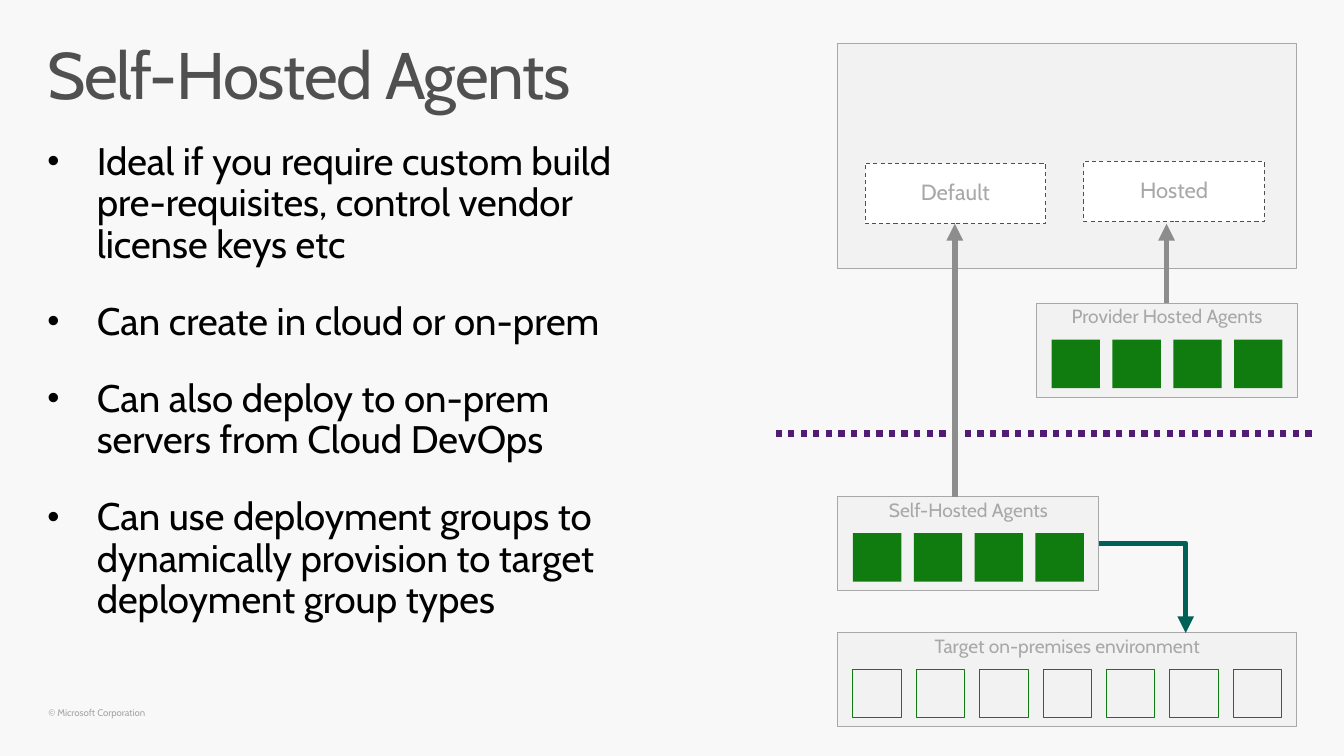
import dataclasses

import lxml.etree
import pptx
import pptx.dml.color
import pptx.enum.dml
import pptx.enum.shapes
import pptx.enum.text
import pptx.oxml.ns
import pptx.util

Shape = pptx.enum.shapes.MSO_SHAPE
Link = pptx.enum.shapes.MSO_CONNECTOR
Dash = pptx.enum.dml.MSO_LINE
Align = pptx.enum.text.PP_ALIGN
Anchor = pptx.enum.text.MSO_ANCHOR


@dataclasses.dataclass(frozen=True)
class Theme:
    font: str = "Cabin"
    back: str = "F8F8F8"
    panel: str = "F2F2F2"
    edge: str = "A8A8A8"
    white: str = "FFFFFF"
    black: str = "000000"
    dark: str = "505050"
    foot: str = "A6A6A6"
    green: str = "107C10"
    purple: str = "511C74"
    gray: str = "8D8D8D"
    teal: str = "006256"
    head_size: float = 47
    body_size: float = 27.4
    pool_size: float = 15.7
    label_size: float = 13.7
    foot_size: float = 6.9


class Board:
    """Draw styled elements on one slide, measured in px of a hundredth inch."""

    def __init__(self, theme, slide):
        self.theme = theme
        self.slide = slide
        slide.background.fill.solid()
        slide.background.fill.fore_color.rgb = self.tint(theme.back)

    @staticmethod
    def px(*nums):
        return [pptx.util.Emu(round(num * 9144)) for num in nums]

    @staticmethod
    def tint(code):
        return pptx.dml.color.RGBColor.from_string(code)

    @staticmethod
    def node(parent, tag, **attrs):
        return lxml.etree.SubElement(parent, pptx.oxml.ns.qn(tag), attrs)

    def letter(self, shape, lines, size, color, top=0, align=Align.LEFT,
               anchor=Anchor.TOP, wrap=True, after=0, track=0, bullet=False):
        frame = shape.text_frame
        frame.word_wrap = wrap
        frame.vertical_anchor = anchor
        frame.margin_left = frame.margin_right = frame.margin_bottom = 0
        frame.margin_top = self.px(top)[0]
        for spot, line in enumerate(lines):
            para = frame.add_paragraph() if spot else frame.paragraphs[0]
            if bullet:
                props = para._p.get_or_add_pPr()
                indent = self.px(49)[0]
                props.set("marL", str(indent))
                props.set("indent", str(-indent))
                self.node(props, "a:buSzPct", val="90000")
                self.node(props, "a:buFont", typeface="Arial")
                self.node(props, "a:buChar", char="•")
            para.alignment = align
            para.line_spacing = 0.9
            para.space_after = pptx.util.Pt(after)
            run = para.add_run()
            run.text = line
            run.font.name = self.theme.font
            run.font.size = pptx.util.Pt(size)
            run.font.color.rgb = self.tint(color)
            if track:
                run._r.get_or_add_rPr().set("spc", str(track))

    def text(self, x, y, w, h, lines, size, color, **style):
        shape = self.slide.shapes.add_textbox(*self.px(x, y, w, h))
        self.letter(shape, lines, size, color, **style)

    def box(self, x, y, w, h, fill, edge=None, dash=None):
        shape = self.slide.shapes.add_shape(Shape.RECTANGLE, *self.px(x, y, w, h))
        shape.shadow.inherit = False
        shape.fill.solid()
        shape.fill.fore_color.rgb = self.tint(fill)
        if edge:
            shape.line.color.rgb = self.tint(edge)
            shape.line.width = pptx.util.Pt(0.75)
            shape.line.dash_style = dash
        else:
            shape.line.fill.background()
        return shape

    def pool(self, x, y, name):
        shape = self.box(x, y, 179, 60, self.theme.white, self.theme.dark, Dash.DASH)
        self.letter(shape, [name], self.theme.pool_size, self.theme.edge,
                    align=Align.CENTER, anchor=Anchor.MIDDLE)

    def panel(self, x, y, w, name, count, fill, edge=None):
        shape = self.box(x, y, w, 93, self.theme.panel, self.theme.edge)
        self.letter(shape, [name], self.theme.label_size, self.theme.edge,
                    top=4, align=Align.CENTER)
        pad, side = 15, 48
        step = (w - 2 * pad - side) / (count - 1)
        for spot in range(count):
            self.box(x + pad + spot * step, y + 36, side, side, fill, edge)

    def line(self, x1, y1, x2, y2, color, width=4, dash=None, arrow=True, bent=False):
        link = self.slide.shapes.add_connector(
            Link.ELBOW if bent else Link.STRAIGHT, *self.px(x1, y1, x2, y2))
        link.line.color.rgb = self.tint(color)
        link.line.width = pptx.util.Pt(width)
        link.line.dash_style = dash
        props = link._element.spPr
        if bent:
            props.find(pptx.oxml.ns.qn("a:prstGeom")).set("prst", "bentConnector2")
        if arrow:
            self.node(link.line._get_or_add_ln(), "a:tailEnd", type="triangle")
        self.node(props, "a:effectLst")


def main():
    deck = pptx.Presentation()
    deck.slide_width, deck.slide_height = Board.px(1333, 750)
    theme = Theme()
    board = Board(theme, deck.slides.add_slide(deck.slide_layouts[6]))

    board.text(47, 24, 608, 83, ["Self-Hosted Agents"], theme.head_size,
               theme.dark, top=18, track=-100)
    board.text(47, 141, 608, 281, [
        "Ideal if you require custom build pre-requisites, control vendor license keys etc",
        "Can create in cloud or on-prem",
        "Can also deploy to on-prem servers from Cloud DevOps",
        "Can use deployment groups to dynamically provision to target deployment group types",
    ], theme.body_size, theme.black, after=25.5, bullet=True)
    board.text(48, 703, 106, 10, ["© Microsoft Corporation"], theme.foot_size,
               theme.foot, wrap=False)

    board.box(831, 43, 455, 223, theme.panel, theme.edge)
    board.pool(858, 162, "Default")
    board.pool(1075, 160, "Hosted")
    board.panel(1028, 301, 259, "Provider Hosted Agents", 4, theme.green)
    board.line(1301, 430, 770, 430, theme.purple, 4.5, Dash.ROUND_DOT, arrow=False)
    board.panel(831, 493, 259, "Self-Hosted Agents", 4, theme.green)
    board.panel(831, 628, 455, "Target on-premises environment", 7,
                theme.panel, theme.green)
    board.line(947, 493, 947, 222, theme.gray)
    board.line(1157, 301, 1157, 222, theme.gray)
    board.line(1090, 539, 1176, 628, theme.teal, bent=True)

    deck.save("out.pptx")


if __name__ == "__main__":
    main()
